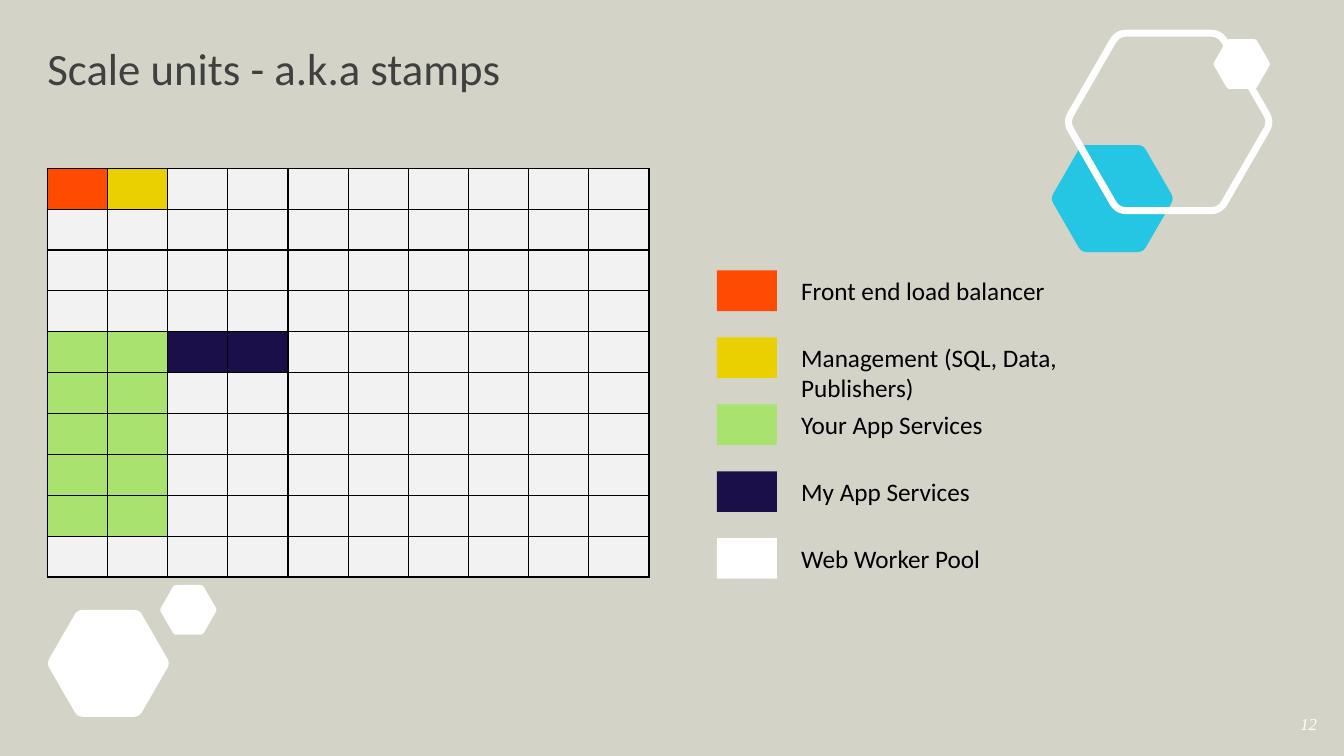
"""Build the slide on scale units, with a stamp grid and its legend."""
from dataclasses import dataclass
from math import cos, pi, sin

from lxml.etree import SubElement
from pptx import Presentation
from pptx.dml.color import RGBColor
from pptx.enum.shapes import MSO_SHAPE
from pptx.enum.text import MSO_ANCHOR, PP_ALIGN
from pptx.oxml.ns import qn
from pptx.util import Pt


@dataclass(frozen=True)
class Theme:
    background: str = "D3D3C7"
    title: str = "404040"
    text: str = "000000"
    white: str = "FFFFFF"
    accent: str = "25C6E3"
    border: str = "000000"
    free: str = "F2F2F2"
    balancer: str = "FF4A01"
    management: str = "EAD000"
    yours: str = "A9E26F"
    mine: str = "1A0F49"
    font: str = "Calibri"
    number_font: str = "Times New Roman"
    title_size: int = 32
    text_size: int = 18
    number_size: int = 12


theme = Theme()
prs = Presentation()
prs.slide_width, prs.slide_height = Pt(960), Pt(540)
s = prs.slides.add_slide(prs.slide_layouts[6])
s.background.fill.solid()
s.background.fill.fore_color.rgb = RGBColor.from_string(theme.background)


def add_text(text, x, y, w, h, size=theme.text_size, color=theme.text, font=theme.font,
             italic=False, align=PP_ALIGN.LEFT, anchor=MSO_ANCHOR.TOP, inset=(7.2, 3.6), spacing=1.0):
    tf = s.shapes.add_textbox(Pt(x), Pt(y), Pt(w), Pt(h)).text_frame
    tf.word_wrap = True
    tf.vertical_anchor = anchor
    tf.margin_left = tf.margin_right = Pt(inset[0])
    tf.margin_top = tf.margin_bottom = Pt(inset[1])
    p = tf.paragraphs[0]
    p.alignment, p.line_spacing = align, spacing
    r = p.add_run()
    r.text = text
    r.font.size, r.font.name, r.font.italic = Pt(size), font, italic
    r.font.color.rgb = RGBColor.from_string(color)


def add_hexagon(cx, cy, radius, fill=None, line=None, rounding=0.09, steps=6):
    corners = [(cx + radius * cos(k * pi / 3), cy + radius * sin(k * pi / 3)) for k in range(6)]
    points = []
    for k, (x, y) in enumerate(corners):
        (ax, ay), (bx, by) = corners[k - 1], corners[(k + 1) % 6]
        for i in range(steps + 1):
            t = i / steps
            a, b = rounding * (1 - t) ** 2, rounding * t ** 2
            points.append((Pt(x + a * (ax - x) + b * (bx - x)), Pt(y + a * (ay - y) + b * (by - y))))
    fb = s.shapes.build_freeform(*points[0])
    fb.add_line_segments(points[1:], close=True)
    sp = fb.convert_to_shape()
    sp.shadow.inherit = False
    if fill:
        sp.fill.solid()
        sp.fill.fore_color.rgb = RGBColor.from_string(fill)
    else:
        sp.fill.background()
    if line:
        sp.line.color.rgb = RGBColor.from_string(line)
        sp.line.width = Pt(5)
    else:
        sp.line.fill.background()


add_hexagon(77.4, 473.8, 44.1, fill=theme.white)
add_hexagon(794.5, 141.8, 44.1, fill=theme.accent)
add_hexagon(834.8, 87.1, 73.2, line=theme.white)
add_hexagon(134.6, 435.6, 20.5, fill=theme.white)
add_hexagon(887, 45.7, 20.5, fill=theme.white)

add_text("Scale units - a.k.a stamps", 33.84, 33.84, 892.8, 33.84, size=theme.title_size,
         color=theme.title, anchor=MSO_ANCHOR.MIDDLE, inset=(0, 0), spacing=0.9)
add_text("12", 916.5, 501.1, 36.7, 31.7, size=theme.number_size, color=theme.white,
         font=theme.number_font, italic=True, align=PP_ALIGN.CENTER,
         anchor=MSO_ANCHOR.MIDDLE, inset=(0, 0))

SIZE, CELL_W, CELL_H = 10, 43, 29.2
used = {(0, 0): theme.balancer, (0, 1): theme.management, (4, 2): theme.mine, (4, 3): theme.mine}
used.update({(row, col): theme.yours for row in range(4, 9) for col in range(2)})

grid = s.shapes.add_table(SIZE, SIZE, Pt(33.84), Pt(120.2), Pt(SIZE * CELL_W), Pt(SIZE * CELL_H)).table
grid.first_row = grid.horz_banding = False
for i in range(SIZE):
    grid.columns[i].width = Pt(CELL_W)
    grid.rows[i].height = Pt(CELL_H)
for row in range(SIZE):
    for col in range(SIZE):
        cell = grid.cell(row, col)
        cell.margin_top = cell.margin_bottom = 0
        tcPr = cell._tc.get_or_add_tcPr()
        for side in ("a:lnL", "a:lnR", "a:lnT", "a:lnB"):
            ln = SubElement(tcPr, qn(side), w=str(Pt(1)))
            SubElement(SubElement(ln, qn("a:solidFill")), qn("a:srgbClr"), val=theme.border)
        cell.fill.solid()
        cell.fill.fore_color.rgb = RGBColor.from_string(used.get((row, col), theme.free))

legend = [
    ("Front end load balancer", theme.balancer),
    ("Management (SQL, Data, Publishers)", theme.management),
    ("Your App Services", theme.yours),
    ("My App Services", theme.mine),
    ("Web Worker Pool", theme.white),
]
for i, (label, color) in enumerate(legend):
    y = 193.2 + i * 47.8
    sp = s.shapes.add_shape(MSO_SHAPE.RECTANGLE, Pt(512), Pt(y), Pt(43), Pt(29))
    sp.shadow.inherit = False
    sp.fill.solid()
    sp.fill.fore_color.rgb = RGBColor.from_string(color)
    sp.line.fill.background()
    add_text(label, 565.2, y, 209, 29)

prs.save("out.pptx")
